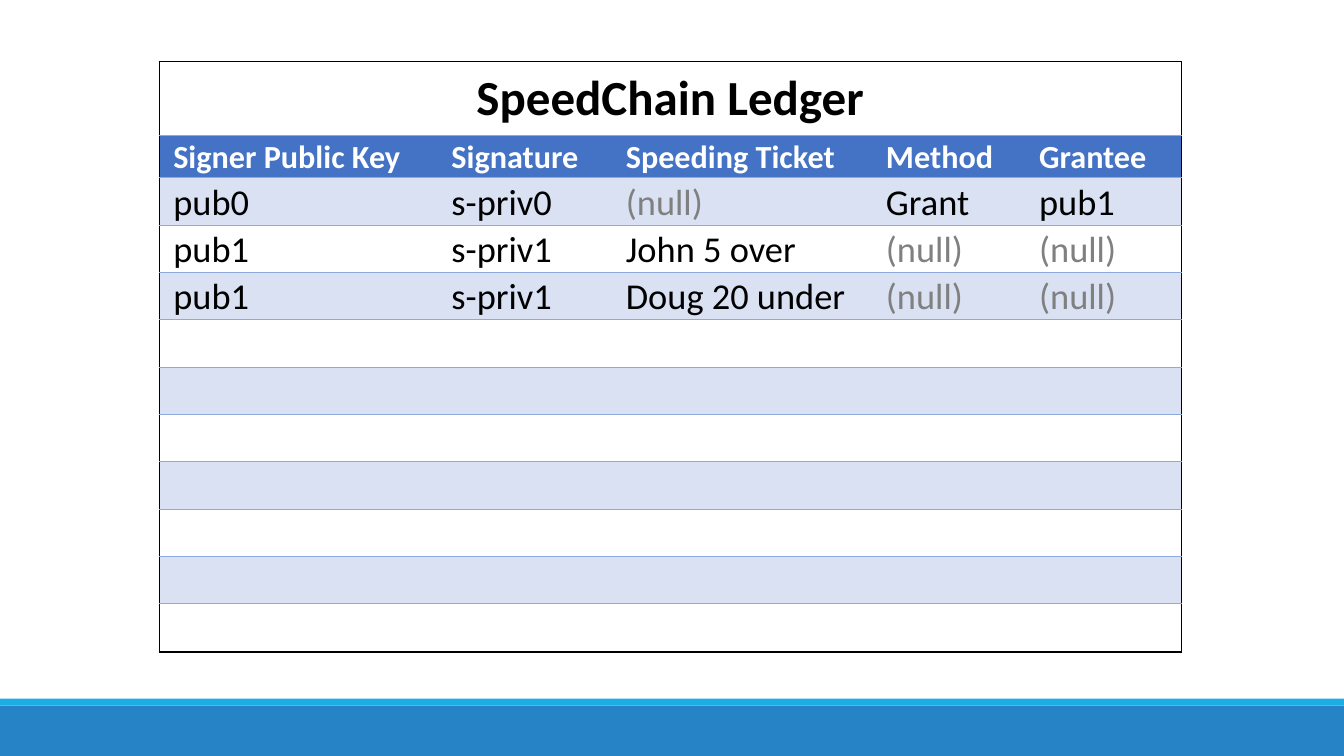
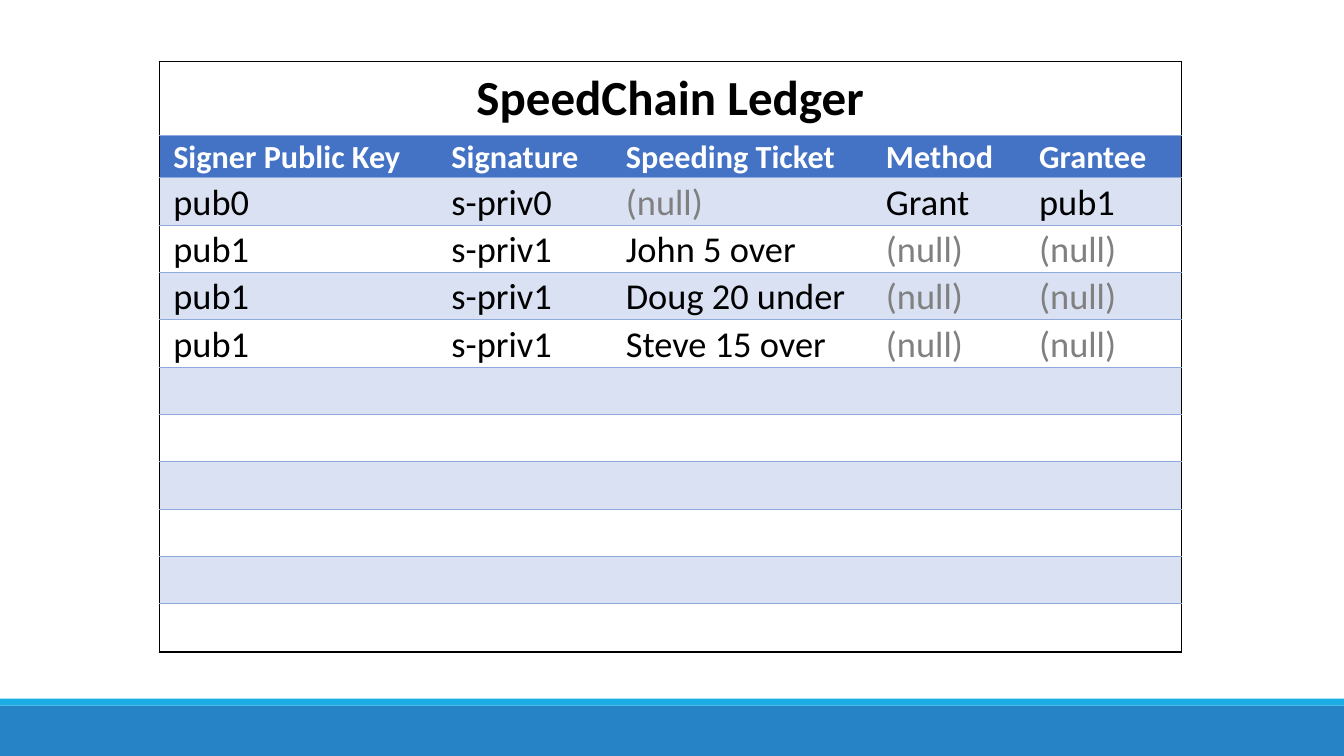
"""Build two slides that show a ledger table filling up row by row."""
from dataclasses import dataclass

from lxml import etree
from pptx import Presentation
from pptx import util as u
from pptx.dml.color import RGBColor
from pptx.enum import shapes, text
from pptx.oxml.ns import qn


@dataclass(frozen=True)
class Theme:
    font: str = "Calibri"
    title_size: int = 35
    header_size: int = 23
    entry_size: int = 26
    ink: str = "000000"
    muted: str = "808080"
    white: str = "FFFFFF"
    header: str = "4472C4"
    stripe: str = "D9E1F2"
    rule: str = "8EA9DB"
    footer: str = "2683C6"
    accent: str = "1CADE4"


THEME = Theme()
SLIDE_WIDTH, SLIDE_HEIGHT = 960, 540
FOOTER_TOP, ACCENT_HEIGHT = 504, 5
TABLE_LEFT, TABLE_TOP = 113.8, 43.9
COLUMN_WIDTHS = [198.7, 124.6, 185.8, 109.4, 111.6]
ROW_HEIGHTS = [45.4, 30.2] + [33.84] * 9 + [34.6]
TITLE_MARGINS = (10.8, 5, 10.8, 5)
CELL_MARGINS = (10, 1.4, 1.4, 0)
OUTER, INNER = (THEME.ink, 1), (THEME.rule, 0.5)

TITLE = "SpeedChain Ledger"
HEADERS = ["Signer Public Key", "Signature", "Speeding Ticket", "Method", "Grantee"]
NULL = "(null)"
ENTRIES = [
    ["pub0", "s-priv0", NULL, "Grant", "pub1"],
    ["pub1", "s-priv1", "John 5 over", NULL, NULL],
    ["pub1", "s-priv1", "Doug 20 under", NULL, NULL],
    ["pub1", "s-priv1", "Steve 15 over", NULL, NULL],
]


def color(value):
    return RGBColor.from_string(value)


def add_band(slide, top, height, fill):
    shape = slide.shapes.add_shape(
        shapes.MSO_SHAPE.RECTANGLE, 0, u.Pt(top), u.Pt(SLIDE_WIDTH), u.Pt(height))
    shape.shadow.inherit = False
    shape.fill.solid()
    shape.fill.fore_color.rgb = color(fill)
    shape.line.fill.background()
    return shape


def move_to_layout(layout, bands):
    for placeholder in list(layout.placeholders):
        placeholder.element.getparent().remove(placeholder.element)
    for band in bands:
        layout.shapes.element.append(band.element)


def set_borders(cell, **sides):
    properties = cell._tc.get_or_add_tcPr()
    for side in "LRTB":
        line = etree.SubElement(properties, qn(f"a:ln{side}"))
        if sides.get(side):
            value, width = sides[side]
            line.set("w", str(u.Pt(width)))
            fill = etree.SubElement(line, qn("a:solidFill"))
            etree.SubElement(fill, qn("a:srgbClr")).set("val", value)
        else:
            line.set("w", "0")
            etree.SubElement(line, qn("a:noFill"))


def set_fill(cell, fill):
    if fill:
        cell.fill.solid()
        cell.fill.fore_color.rgb = color(fill)
    else:
        cell.fill.background()


def set_margins(cell, margins):
    cell.margin_left, cell.margin_top, cell.margin_right, cell.margin_bottom = map(u.Pt, margins)
    cell.vertical_anchor = text.MSO_ANCHOR.BOTTOM


def write(cell, content, size, ink, bold=False, align=text.PP_ALIGN.LEFT):
    paragraph = cell.text_frame.paragraphs[0]
    paragraph.text = content
    paragraph.alignment = align
    paragraph.font.name = THEME.font
    paragraph.font.size = u.Pt(size)
    paragraph.font.bold = bold
    paragraph.font.color.rgb = color(ink)


def style_cell(cell, row, column):
    last_row, last_column = len(ROW_HEIGHTS) - 1, len(COLUMN_WIDTHS) - 1
    set_borders(
        cell,
        L=OUTER if column == 0 else None,
        R=OUTER if column == last_column or row == 0 else None,
        T=OUTER if row == 0 else INNER,
        B=OUTER if row == last_row else INNER)
    stripe = THEME.stripe if row and row % 2 == 0 else None
    set_fill(cell, THEME.header if row == 1 else stripe)
    set_margins(cell, CELL_MARGINS if row else TITLE_MARGINS)


def add_ledger(slide, entries):
    frame = slide.shapes.add_table(
        len(ROW_HEIGHTS), len(COLUMN_WIDTHS), u.Pt(TABLE_LEFT), u.Pt(TABLE_TOP),
        u.Pt(sum(COLUMN_WIDTHS)), u.Pt(sum(ROW_HEIGHTS)))
    table = frame.table
    table.first_row = table.horz_banding = False
    for column, width in zip(table.columns, COLUMN_WIDTHS):
        column.width = u.Pt(width)
    for row, height in zip(table.rows, ROW_HEIGHTS):
        row.height = u.Pt(height)
    table.cell(0, 0).merge(table.cell(0, len(COLUMN_WIDTHS) - 1))
    for row in range(len(ROW_HEIGHTS)):
        for column in range(len(COLUMN_WIDTHS)):
            style_cell(table.cell(row, column), row, column)

    write(table.cell(0, 0), TITLE, THEME.title_size, THEME.ink, True, text.PP_ALIGN.CENTER)
    for column, header in enumerate(HEADERS):
        write(table.cell(1, column), header, THEME.header_size, THEME.white, True)
    for row, entry in enumerate(entries, start=2):
        for column, content in enumerate(entry):
            ink = THEME.muted if content == NULL else THEME.ink
            write(table.cell(row, column), content, THEME.entry_size, ink)


def main():
    presentation = Presentation()
    presentation.slide_width = u.Pt(SLIDE_WIDTH)
    presentation.slide_height = u.Pt(SLIDE_HEIGHT)
    layout = presentation.slide_layouts[6]
    slides = [presentation.slides.add_slide(layout) for _ in range(2)]
    move_to_layout(layout, [
        add_band(slides[0], FOOTER_TOP, SLIDE_HEIGHT - FOOTER_TOP, THEME.footer),
        add_band(slides[0], FOOTER_TOP - ACCENT_HEIGHT, ACCENT_HEIGHT, THEME.accent)])
    for slide, count in zip(slides, (3, 4)):
        add_ledger(slide, ENTRIES[:count])
    presentation.save("out.pptx")


if __name__ == "__main__":
    main()
